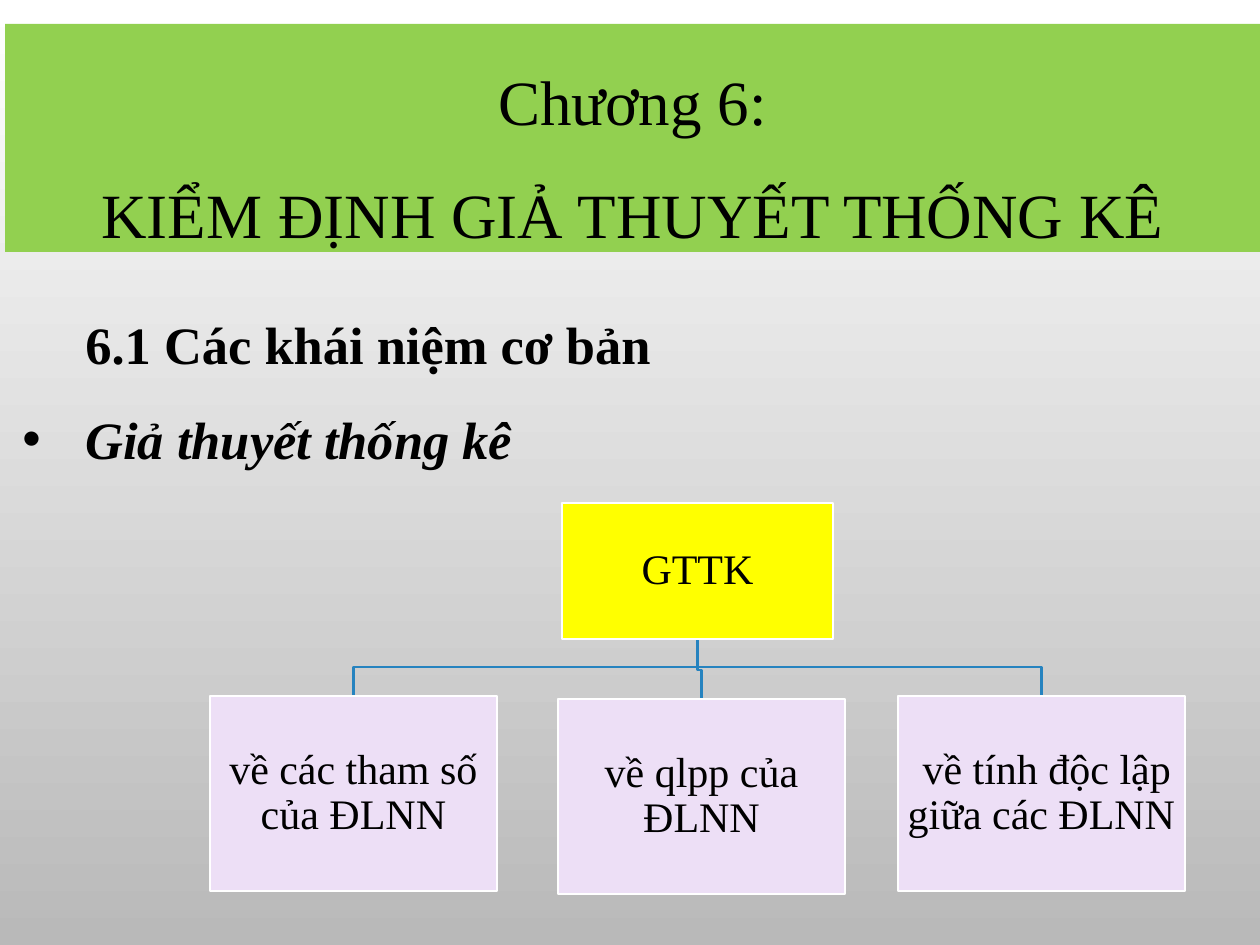
from lxml.etree import SubElement
from pptx import Presentation
from pptx.dml.color import RGBColor
from pptx.enum.shapes import MSO_SHAPE as SHAPE
from pptx.enum.text import MSO_ANCHOR as ANCHOR, PP_ALIGN as ALIGN
from pptx.oxml.ns import qn
from pptx.util import Emu, Pt

EMU_PER_PX = 914400 / 126
FONT = "Times New Roman"
COLORS = {
    "text": "000000",
    "title": "92D050",
    "root": "FFFF00",
    "child": "EDDFF6",
    "border": "FFFFFF",
    "link": "2683BF",
    "bg_top": "FFFFFF",
    "bg_bottom": "B9B9B9",
}
ROOT = (562, 503, 271, 136)
CHILD_SIZE = (287, 195)
CHILDREN = [
    (210, 696, "về các tham số của ĐLNN"),
    (558, 699, "về qlpp của ĐLNN"),
    (898, 696, " về tính độc lập giữa các ĐLNN"),
]
LINK_DROP = 29


def px(n):
    return Emu(round(n * EMU_PER_PX))


def rgb(name):
    return RGBColor.from_string(COLORS[name])


def add_run(p, text, size, bold=False, italic=False):
    r = p.add_run()
    r.text = text
    r.font.name = FONT
    r.font.size = Pt(size)
    r.font.bold = bold
    r.font.italic = italic
    r.font.color.rgb = rgb("text")


def set_indent(p, left, first, bullet=None):
    pPr = p._p.get_or_add_pPr()
    pPr.set("marL", str(px(left)))
    pPr.set("indent", str(px(first)))
    if bullet:
        SubElement(pPr, qn("a:buFont")).set("typeface", "Arial")
        SubElement(pPr, qn("a:buChar")).set("char", bullet)
    else:
        SubElement(pPr, qn("a:buNone"))


def add_box(s, box, fill, lines, size, spacing, border=None, inset=None):
    """Filled rectangle with centred lines of text in one paragraph."""
    sp = s.shapes.add_shape(SHAPE.RECTANGLE, *map(px, box))
    sp.shadow.inherit = False
    sp.fill.solid()
    sp.fill.fore_color.rgb = rgb(fill)
    if border:
        sp.line.color.rgb = rgb(border)
        sp.line.width = Pt(1.25)
    else:
        sp.line.fill.background()
    tf = sp.text_frame
    tf.word_wrap = True
    tf.vertical_anchor = ANCHOR.MIDDLE
    if inset is not None:
        tf.margin_left = tf.margin_right = px(inset)
        tf.margin_top = tf.margin_bottom = px(inset)
    p = tf.paragraphs[0]
    p.alignment = ALIGN.CENTER
    p.line_spacing = spacing
    for i, line in enumerate(lines):
        if i:
            p.add_line_break()
        add_run(p, line, size)


def add_node(s, box, fill, text):
    add_box(s, box, fill, [text], 24, 0.9, border="border", inset=2)


def add_link(s, start, end):
    """Elbow line that turns a fixed distance above its end."""
    turn = end[1] - LINK_DROP
    points = [(start[0], turn), (end[0], turn), end]
    builder = s.shapes.build_freeform(px(start[0]), px(start[1]))
    builder.add_line_segments([(px(x), px(y)) for x, y in points], close=False)
    sp = builder.convert_to_shape()
    sp.shadow.inherit = False
    sp.fill.background()
    sp.line.color.rgb = rgb("link")
    sp.line.width = Pt(1.25)


def add_headings(s):
    tf = s.shapes.add_textbox(*map(px, (10, 280, 1197, 191))).text_frame
    tf.word_wrap = True
    tf.vertical_anchor = ANCHOR.MIDDLE
    section, topic = tf.paragraphs[0], tf.add_paragraph()
    set_indent(section, 0, 63)
    set_indent(topic, 63, -63, "•")
    section.line_spacing = topic.line_spacing = 1.5
    add_run(section, "6.1 Các khái niệm cơ bản", 30, bold=True)
    add_run(topic, "Giả thuyết thống kê", 30, bold=True, italic=True)


def add_tree(s):
    left, top, width, height = ROOT
    start = (left + width / 2, top + height)
    for x, y, _ in CHILDREN:
        add_link(s, start, (x + CHILD_SIZE[0] / 2, y))
    add_node(s, ROOT, "root", "GTTK")
    for x, y, text in CHILDREN:
        add_node(s, (x, y, *CHILD_SIZE), "child", text)


def set_background(s):
    fill = s.background.fill
    fill.gradient()
    fill.gradient_angle = 270
    for stop, name in zip(fill.gradient_stops, ("bg_top", "bg_bottom")):
        stop.color.rgb = rgb(name)


def main():
    prs = Presentation()
    prs.slide_width, prs.slide_height = px(1260), px(945)
    s = prs.slides.add_slide(prs.slide_layouts[6])
    set_background(s)
    add_headings(s)
    add_tree(s)
    title = ["Chương 6:", "KIỂM ĐỊNH GIẢ THUYẾT THỐNG KÊ"]
    add_box(s, (5, 24, 1255, 228), "title", title, 36, 1.5)
    prs.save("out.pptx")


if __name__ == "__main__":
    main()
